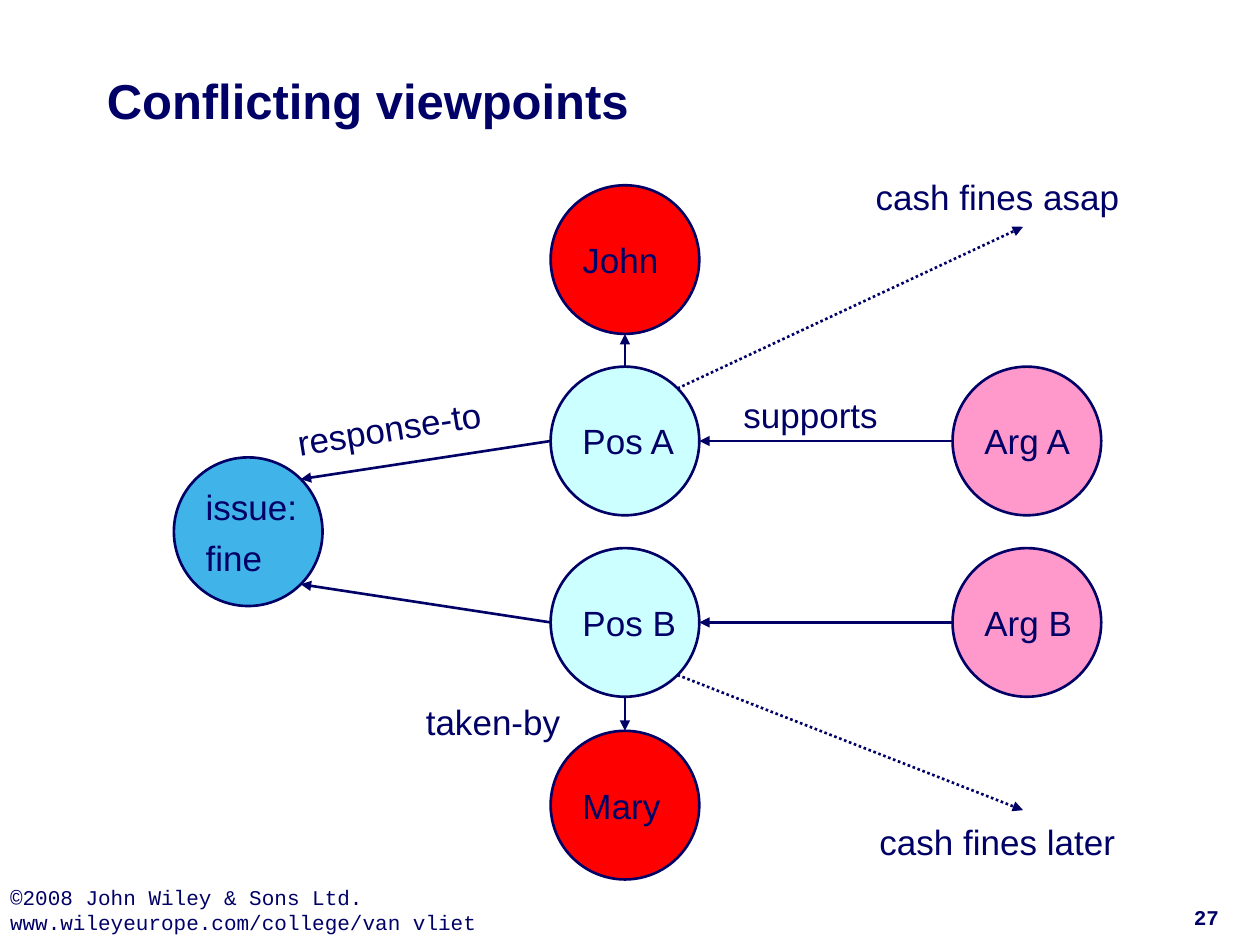
from math import sqrt

from pptx import Presentation
from pptx.dml.color import RGBColor
from pptx.enum.dml import MSO_LINE
from pptx.enum.shapes import MSO_CONNECTOR, MSO_SHAPE
from pptx.enum.text import MSO_ANCHOR, MSO_AUTO_SIZE, PP_ALIGN
from pptx.oxml.ns import qn
from pptx.util import Inches, Pt
from lxml.etree import SubElement

NAVY = RGBColor(0x00, 0x00, 0x66)
BLUE = RGBColor(0x40, 0xB4, 0xE8)
PINK = RGBColor(0xFF, 0x99, 0xCC)
RED = RGBColor(0xFF, 0x00, 0x00)
CYAN = RGBColor(0xCC, 0xFF, 0xFF)

# Node grid: column and row centres, in inches
DIAMETER = 1.18
ISSUE_X, POSITION_X, ARGUMENT_X = 1.97, 4.96, 8.15
JOHN_Y, A_Y, B_Y, MARY_Y = 2.06, 3.5, 4.94, 6.39
ISSUE_Y = (A_Y + B_Y) / 2

# Directions from a node's centre to its rim
DIAGONAL = 1 / sqrt(2)
TOP, BOTTOM, LEFT, RIGHT = (0, -1), (0, 1), (-1, 0), (1, 0)
UPPER_RIGHT, LOWER_RIGHT = (DIAGONAL, -DIAGONAL), (DIAGONAL, DIAGONAL)

ISSUE = (ISSUE_X, ISSUE_Y)
JOHN, MARY = (POSITION_X, JOHN_Y), (POSITION_X, MARY_Y)
POS_A, POS_B = (POSITION_X, A_Y), (POSITION_X, B_Y)
ARG_A, ARG_B = (ARGUMENT_X, A_Y), (ARGUMENT_X, B_Y)


def rim(centre, direction):
    return tuple(c + d * DIAMETER / 2 for c, d in zip(centre, direction))


def write(frame, lines, size=20, font="Arial", bold=False, inset=0.08,
          anchor=MSO_ANCHOR.TOP, align=PP_ALIGN.LEFT, wrap=True, hanging=False):
    frame.word_wrap = wrap
    frame.vertical_anchor = anchor
    frame.margin_left = frame.margin_right = Inches(inset)
    frame.margin_top = frame.margin_bottom = Inches(inset)
    for number, line in enumerate(lines):
        paragraph = frame.add_paragraph() if number else frame.paragraphs[0]
        paragraph.alignment = align
        if hanging:
            properties = paragraph._p.get_or_add_pPr()
            properties.set("marL", str(Inches(0.2)))
            properties.set("indent", str(Inches(-0.2)))
            if number:
                paragraph.space_before = Pt(5)
        run = paragraph.add_run()
        run.text = line
        run.font.size = Pt(size)
        run.font.name = font
        run.font.bold = bold
        run.font.color.rgb = NAVY


def add_text(slide, left, top, width, height, lines, **style):
    box = slide.shapes.add_textbox(
        Inches(left), Inches(top), Inches(width), Inches(height))
    write(box.text_frame, lines, **style)
    return box


def add_label(slide, left, top, width, text, rotation=0):
    label = add_text(slide, left, top, width, 0.49, [text], wrap=False, hanging=True)
    label.text_frame.auto_size = MSO_AUTO_SIZE.SHAPE_TO_FIT_TEXT
    label.rotation = rotation


def add_node(slide, centre, lines, fill):
    left, top = (c - DIAMETER / 2 for c in centre)
    node = slide.shapes.add_shape(
        MSO_SHAPE.OVAL, Inches(left), Inches(top), Inches(DIAMETER), Inches(DIAMETER))
    node.shadow.inherit = False
    node.fill.solid()
    node.fill.fore_color.rgb = fill
    node.line.color.rgb = NAVY
    node.line.width = Pt(1.5)
    write(node.text_frame, lines, anchor=MSO_ANCHOR.MIDDLE, wrap=False, hanging=True)


def add_arrow(slide, start, end, dotted=False):
    arrow = slide.shapes.add_connector(
        MSO_CONNECTOR.STRAIGHT, *(Inches(value) for value in (*start, *end)))
    arrow.line.color.rgb = NAVY
    arrow.line.width = Pt(1.5)
    if dotted:
        arrow.line.dash_style = MSO_LINE.ROUND_DOT
    SubElement(arrow.line._get_or_add_ln(), qn("a:tailEnd"), type="triangle")
    SubElement(arrow._element.spPr, qn("a:effectLst"))


def main():
    presentation = Presentation()
    presentation.slide_width = Inches(10)
    presentation.slide_height = Inches(7.5)
    slide = presentation.slides.add_slide(presentation.slide_layouts[6])

    # Footer and title
    add_text(slide, 0, 6.94, 6.14, 0.56,
             ["©2008 John Wiley & Sons Ltd.", "www.wileyeurope.com/college/van vliet"],
             size=12, font="Courier New")
    add_text(slide, 9.18, 7.14, 0.79, 0.24, ["27"], size=12, font="Courier New",
             bold=True, inset=0, anchor=MSO_ANCHOR.BOTTOM, align=PP_ALIGN.CENTER)
    add_text(slide, 0.75, 0.17, 8.5, 1.25, ["Conflicting viewpoints"],
             size=28, bold=True, inset=0.1, anchor=MSO_ANCHOR.MIDDLE)

    # Issue, arguments, positions and people
    for centre, lines, fill in (
        (ISSUE, ["issue:", "fine"], BLUE),
        (ARG_B, ["Arg B"], PINK),
        (ARG_A, ["Arg A"], PINK),
        (MARY, ["Mary"], RED),
        (POS_B, ["Pos B"], CYAN),
        (POS_A, ["Pos A"], CYAN),
        (JOHN, ["John"], RED),
    ):
        add_node(slide, centre, lines, fill)

    # Relations between nodes
    for source, source_side, target, target_side in (
        (POS_A, TOP, JOHN, BOTTOM),
        (POS_B, BOTTOM, MARY, TOP),
        (ARG_B, LEFT, POS_B, RIGHT),
        (ARG_A, LEFT, POS_A, RIGHT),
        (POS_A, LEFT, ISSUE, UPPER_RIGHT),
        (POS_B, LEFT, ISSUE, LOWER_RIGHT),
    ):
        add_arrow(slide, rim(source, source_side), rim(target, target_side))

    # Relation names and viewpoints
    add_label(slide, 5.82, 3.04, 1.63, "supports")
    add_label(slide, 3.3, 5.48, 1.63, "taken-by")
    add_label(slide, 2.27, 3.12, 2.03, "response-to", rotation=350.9)
    add_label(slide, 6.87, 1.31, 2.5, "cash fines asap")
    add_label(slide, 6.9, 6.43, 2.44, "cash fines later")

    # Dotted arrows to the viewpoints
    add_arrow(slide, rim(POS_A, UPPER_RIGHT), (8.12, 1.8), dotted=True)
    add_arrow(slide, rim(POS_B, LOWER_RIGHT), (8.12, 6.43), dotted=True)

    presentation.save("out.pptx")


if __name__ == "__main__":
    main()
